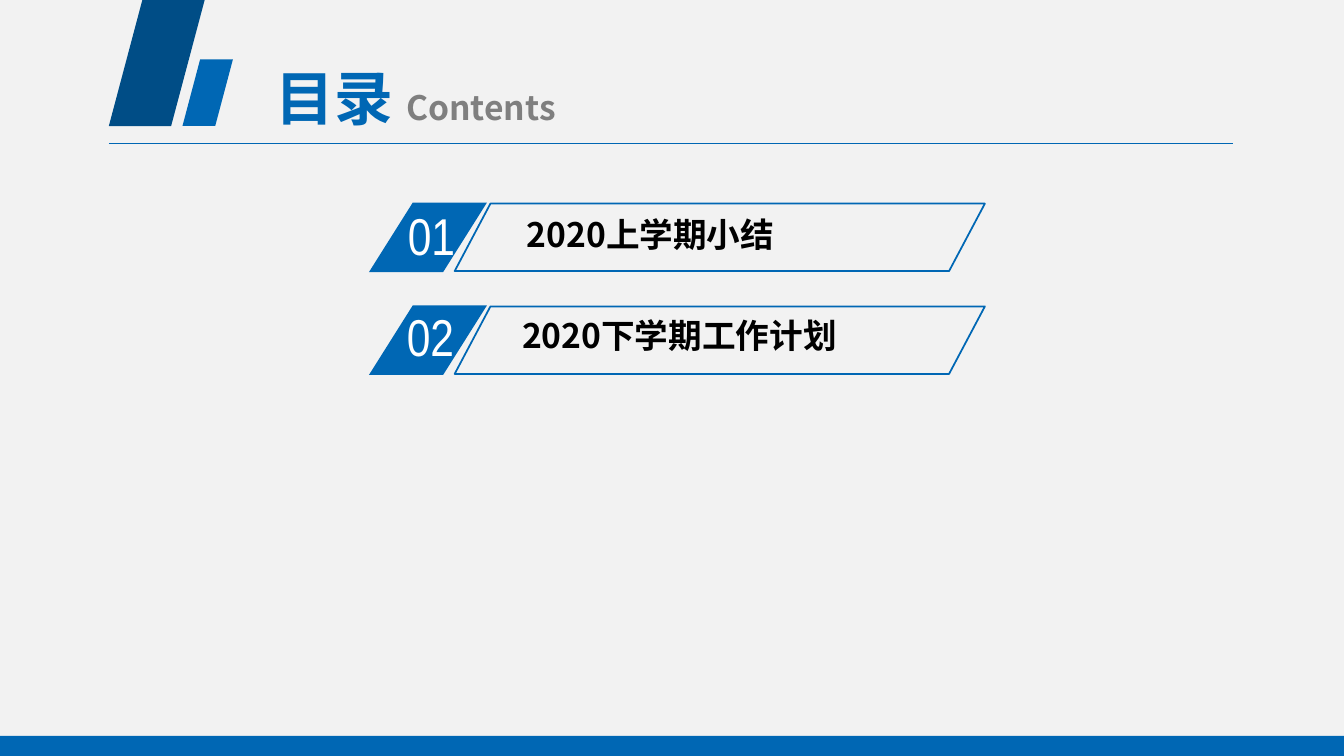
from pptx import Presentation
from pptx.dml.color import RGBColor
from pptx.enum.shapes import MSO_CONNECTOR as Link, MSO_SHAPE as Form
from pptx.enum.text import MSO_ANCHOR as Anchor, MSO_AUTO_SIZE as Fit, PP_ALIGN as Align
from pptx.oxml.ns import qn
from pptx.util import Inches, Pt
from lxml.etree import SubElement

BLUE, NAVY, GRAY, PALE = "0067B4", "004D86", "7F7F7F", "F2F2F2"
SANS, SLIM = "Noto Sans CJK SC", "Arial Narrow"

deck = Presentation()
deck.slide_width, deck.slide_height = Inches(13.33), Inches(7.5)
slide = deck.slides.add_slide(deck.slide_layouts[5])
shapes = slide.shapes
slide.background.fill.solid()
slide.background.fill.fore_color.rgb = RGBColor.from_string(PALE)


def place(*box):
    """Turn percentages of the slide (x, y, width, height) into lengths."""
    sides = (deck.slide_width, deck.slide_height) * 2
    return [int(side * share / 100) for side, share in zip(sides, box)]


def write(para, text, color, **font):
    run = para.add_run()
    run.text = text
    run.font.color.rgb = RGBColor.from_string(color)
    for key, value in font.items():
        setattr(run.font, key, value)
    SubElement(run.font._element, qn("a:ea"), typeface=font["name"])


# Title
title = shapes.title
title.left, title.top, title.width, title.height = place(19.73, 8, 27.15, 9.6)
frame = title.text_frame
frame.auto_size, frame.vertical_anchor = Fit.NONE, Anchor.MIDDLE
para = frame.paragraphs[0]
para.alignment, para.space_before = Align.LEFT, Pt(6)
write(para, "目录 ", BLUE, name=SANS, size=Pt(42), bold=True)
write(para, "Contents", GRAY, name=SANS, size=Pt(24), bold=True)

# Rule under the title
rule = shapes.add_connector(Link.STRAIGHT, *place(8.1, 18.93, 91.73, 18.93))
rule.line.color.rgb = RGBColor.from_string(BLUE)
rule.line.width = Pt(0.75)
SubElement(rule._element.spPr, qn("a:effectLst"))

# Slanted marks, footer bar, and a badge and frame for each entry
STEP = 13.6
forms = [
    (Form.PARALLELOGRAM, (8.1, 0, 7.13, 16.67), 0.35, NAVY, None),
    (Form.PARALLELOGRAM, (13.58, 7.87, 3.75, 8.8), 0.35, BLUE, None),
    (Form.RECTANGLE, (0, 97.33, 100, 2.67), None, BLUE, None),
]
for row in range(2):
    drop = row * STEP
    forms += [
        (Form.PARALLELOGRAM, (27.45, 26.8 + drop, 8.78, 9.2), 0.63, BLUE, None),
        (Form.PARALLELOGRAM, (33.83, 26.93 + drop, 39.45, 8.93), 0.53, PALE, BLUE),
    ]
for form, box, slant, fill, edge in forms:
    shape = shapes.add_shape(form, *place(*box))
    shape.shadow.inherit = False
    shape.fill.solid()
    shape.fill.fore_color.rgb = RGBColor.from_string(fill)
    if slant:
        shape.adjustments[0] = slant
    if edge:
        shape.line.color.rgb = RGBColor.from_string(edge)
        shape.line.width = Pt(1.25)
    else:
        shape.line.fill.background()

# Numbers and names of the entries
badge = dict(name=SLIM, size=Pt(37))
label = dict(name=SANS, size=Pt(24), bold=True)
texts = [
    ("01", (27.9, 26.93, 8.4, 8.93), Align.CENTER, "FFFFFF", badge),
    ("2020上学期小结", (39.2, 28.27, 29, 6.4), Align.LEFT, "000000", label),
    ("02", (27.83, 40.26, 8.4, 8.93), Align.CENTER, "FFFFFF", badge),
    ("2020下学期工作计划", (38.84, 41.6, 29, 6.4), Align.LEFT, "000000", label),
]
for text, box, align, color, font in texts:
    frame = shapes.add_textbox(*place(*box)).text_frame
    frame.word_wrap = True
    frame.margin_left = frame.margin_right = 0
    frame.margin_top = frame.margin_bottom = 0
    para = frame.paragraphs[0]
    para.alignment = align
    write(para, text, color, **font)

deck.save("out.pptx")
